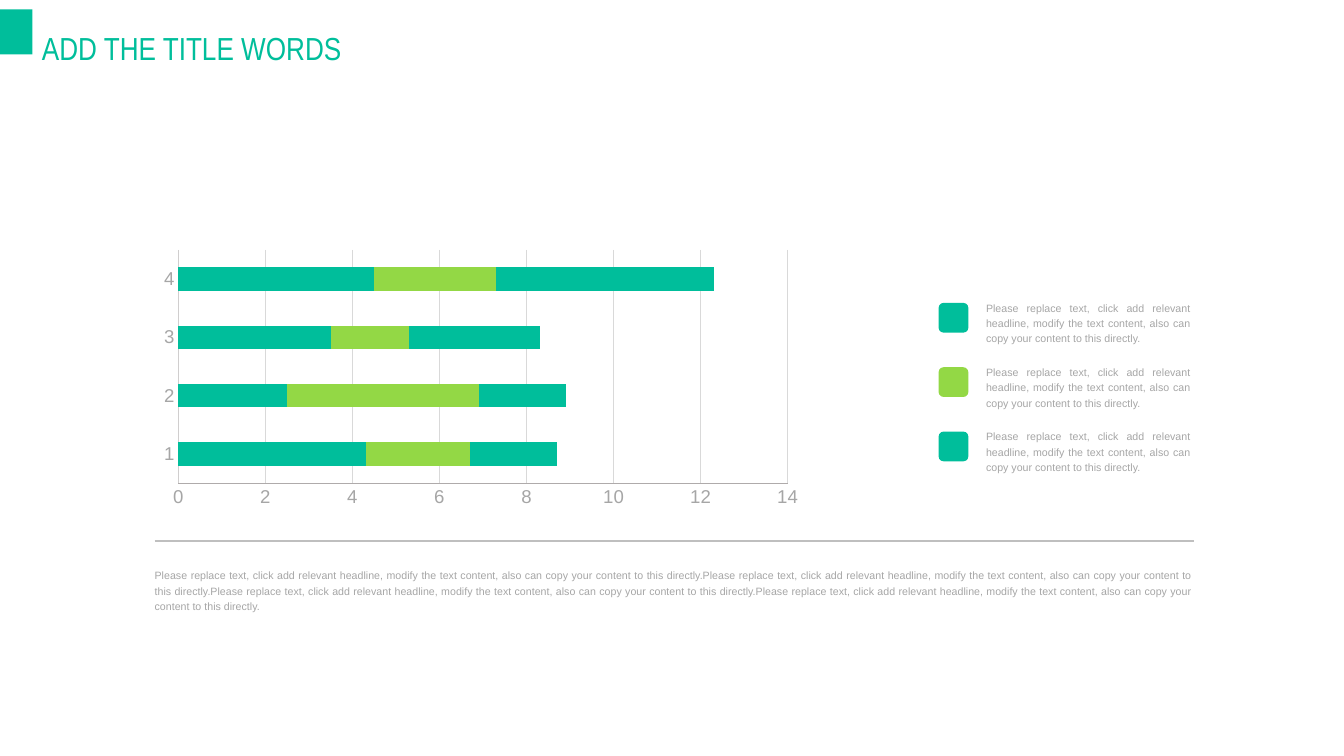
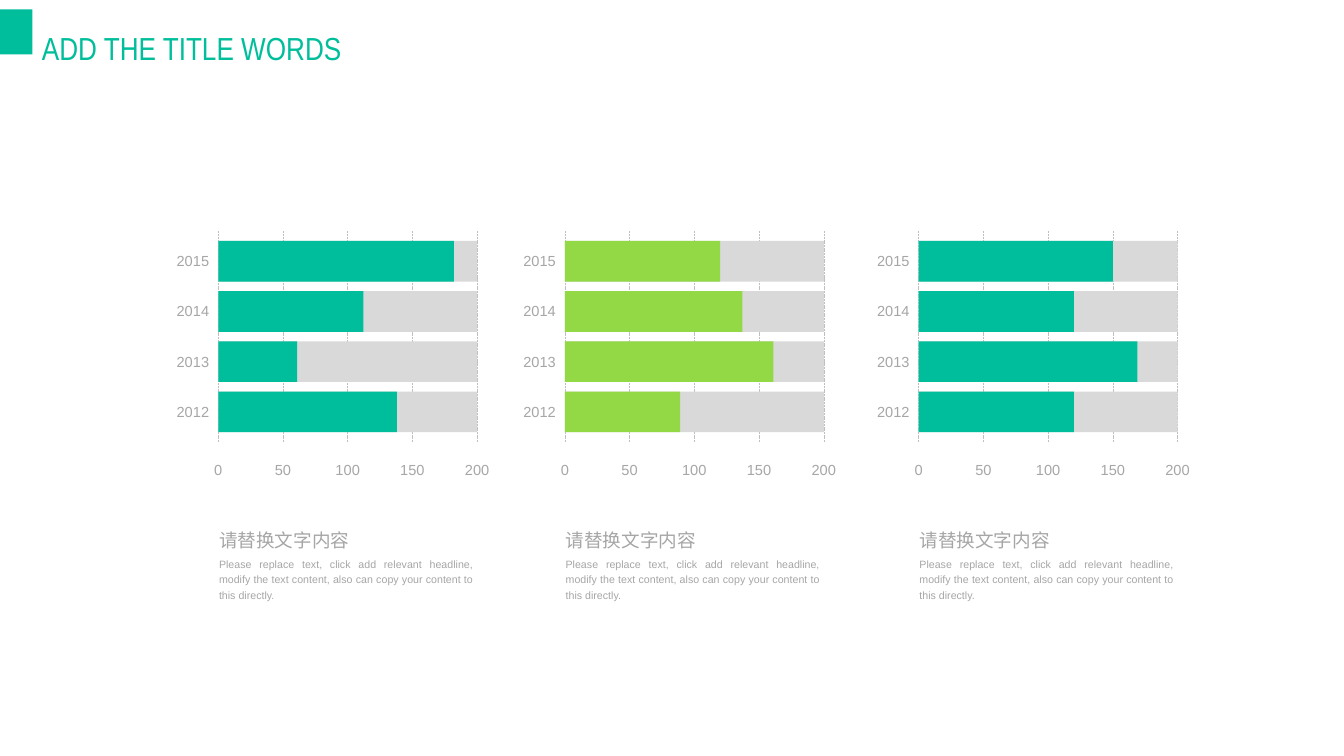
"""Build two slides of bar comparisons that share one title style."""
from dataclasses import dataclass

from lxml import etree
from pptx import Presentation
from pptx.chart.data import CategoryChartData
from pptx.dml.color import RGBColor
from pptx.enum import chart as charts, dml, shapes, text
from pptx.oxml.ns import qn
from pptx.util import Cm, Pt


@dataclass(frozen=True)
class Theme:
    """Colours, fonts and type sizes of the deck."""
    teal: RGBColor = RGBColor.from_string("00BE9B")
    lime: RGBColor = RGBColor.from_string("93D845")
    grey: RGBColor = RGBColor.from_string("A6A6A6")
    rule: RGBColor = RGBColor.from_string("BFBFBF")
    track: RGBColor = RGBColor.from_string("D9D9D9")
    cat_line: RGBColor = RGBColor.from_string("D0CECE")
    val_line: RGBColor = RGBColor.from_string("AFABAB")
    font: str = "Arial"
    title_font: str = "Arial Narrow"
    title: int = 24
    heading: int = 14
    label: int = 11
    body: int = 8


T = Theme()
ALIGN = text.PP_ALIGN
RECT = shapes.MSO_SHAPE.RECTANGLE
TITLE = "ADD THE TITLE WORDS"
BODY = ("Please replace text, click add relevant headline, modify the text "
        "content, also can copy your content to this directly.")
HEADING = "请替换文字内容"
SERIES = [
    ("Series 1", (4.3, 2.5, 3.5, 4.5), T.teal),
    ("Series 2", (2.4, 4.4, 1.8, 2.8), T.lime),
    ("Series 3", (2, 2, 3, 5), T.teal),
]
YEARS = ("2015", "2014", "2013", "2012")
PANELS = [
    (5.8, T.teal, (182, 112, 61, 138)),
    (15.01, T.lime, (120, 137, 161, 89)),
    (24.41, T.teal, (150, 120, 169, 120)),
]


def cms(*values):
    """Turn numbers into centimetre lengths."""
    return [Cm(v) for v in values]


def style_text(tf, words, size, color=T.grey, font=T.font,
               align=ALIGN.LEFT, spacing=1.2):
    """Write one paragraph and format it."""
    tf.text = words
    tf.auto_size = text.MSO_AUTO_SIZE.SHAPE_TO_FIT_TEXT
    tf.vertical_anchor = text.MSO_ANCHOR.TOP
    p = tf.paragraphs[0]
    p.alignment, p.line_spacing, p.space_before = align, spacing, Pt(0)
    r = p.runs[0]
    r.font.size, r.font.name = Pt(size), font
    r.font.color.rgb = color


def add_text(parent, box, words, size, align=ALIGN.LEFT):
    """Add a wrapped text box without margins."""
    tf = parent.add_textbox(*cms(*box)).text_frame
    tf.word_wrap = True
    tf.margin_left = tf.margin_right = tf.margin_top = tf.margin_bottom = 0
    style_text(tf, words, size, align=align)


def add_label(parent, box, words, align):
    """Add an unwrapped axis label."""
    tf = parent.add_textbox(*cms(*box)).text_frame
    tf.word_wrap = False
    style_text(tf, words, T.label, align=align)


def add_block(parent, box, color, kind=RECT):
    """Add a flat filled shape."""
    sp = parent.add_shape(kind, *cms(*box))
    sp.shadow.inherit = False
    sp.fill.solid()
    sp.fill.fore_color.rgb = color
    sp.line.fill.background()
    return sp


def add_line(parent, ends, width, dash=None):
    """Add a flat straight line."""
    ln = parent.add_connector(shapes.MSO_CONNECTOR.STRAIGHT, *cms(*ends))
    ln.line.color.rgb = T.rule
    ln.line.width = Pt(width)
    if dash:
        ln.line.dash_style = dash
    etree.SubElement(ln.element.spPr, qn("a:effectLst"))


def add_titled_slide(prs, layout):
    """Add a slide with the shared title."""
    s = prs.slides.add_slide(layout)
    sp = s.shapes.title
    sp.left, sp.top, sp.width, sp.height = cms(0.86, 0.13, 8.99, 1.6)
    style_text(sp.text_frame, TITLE, T.title, T.teal, T.title_font,
               spacing=1.5)
    return s


def add_band(s):
    """Place the corner band on the layout of a slide."""
    sp = add_block(s.shapes, (0, 0.25, 0.86, 1.2), T.teal)
    s.slide_layout.shapes.element.insert(2, sp.element)


def style_axis(axis, color):
    """Format an axis without tick marks."""
    axis.major_tick_mark = axis.minor_tick_mark = charts.XL_TICK_MARK.NONE
    axis.format.line.color.rgb = color
    axis.format.line.width = Pt(0.75)


def stacked_chart(s, box):
    """Add the stacked bar chart."""
    data = CategoryChartData()
    data.categories = ["1", "2", "3", "4"]
    for name, values, _ in SERIES:
        data.add_series(name, values)
    ch = s.shapes.add_chart(charts.XL_CHART_TYPE.BAR_STACKED, *cms(*box),
                            data).chart
    ch.has_legend = ch.has_title = False
    ch.font.size, ch.font.name = Pt(T.heading), T.font
    ch.font.color.rgb = T.grey
    plot = ch.plots[0]
    plot.gap_width, plot.overlap, plot.vary_by_categories = 150, 100, False
    for series, (_, _, color) in zip(plot.series, SERIES):
        series.format.fill.solid()
        series.format.fill.fore_color.rgb = color
    style_axis(ch.category_axis, T.cat_line)
    axis = ch.value_axis
    style_axis(axis, T.val_line)
    axis.minimum_scale, axis.maximum_scale, axis.major_unit = 0, 14, 2
    axis.has_major_gridlines = True
    axis.major_gridlines.format.line.color.rgb = T.track
    axis.major_gridlines.format.line.width = Pt(0.75)


def legend(s, box):
    """Add colour keys with their descriptions."""
    x, y, w, pitch = box
    for i, (_, _, color) in enumerate(SERIES):
        top = y + i * pitch
        add_block(s.shapes, (x, top + 0.1, 0.79, 0.79), color,
                  shapes.MSO_SHAPE.ROUNDED_RECTANGLE)
        add_text(s.shapes, (x + 1.26, top, w - 1.26, 1.22), BODY, T.body,
                 ALIGN.JUSTIFY)


def summary(s, box):
    """Add a ruled closing paragraph."""
    x, y, w, h = box
    add_line(s.shapes, (x, y, x + w, y), 2)
    add_text(s.shapes, (x, y + 0.68, w, h - 0.68), BODY * 4, T.body,
             ALIGN.JUSTIFY)


def bar_panel(s, box, color, values):
    """Add a group of bars on tracks with a dashed scale."""
    x, y, w, h = box
    g = s.shapes.add_group_shape().shapes
    top_value, bar = 200, 1.08
    gap = (h - bar * len(values)) / (len(values) + 1)
    for tick in range(0, top_value + 1, 50):
        tx = x + w * tick / top_value
        add_line(g, (tx, y, tx, y + h), 0.5, dml.MSO_LINE.SQUARE_DOT)
        label_w = 0.51 + 0.22 * len(str(tick))
        add_label(g, (tx - label_w / 2, y + h + 0.28, label_w, 0.81),
                  str(tick), ALIGN.CENTER)
    for i, (year, value) in enumerate(zip(YEARS, values)):
        top = y + gap + i * (bar + gap)
        add_block(g, (x, top, w, bar), T.track)
        add_block(g, (x, top, w * value / top_value, bar), color)
        add_label(g, (x - 1.39, top + 0.08, 1.4, 0.81), year, ALIGN.RIGHT)


def caption(s, box):
    """Add a heading above a short paragraph."""
    x, y, w, h = box
    add_text(s.shapes, (x, y, 4.62, 0.7), HEADING, T.heading)
    add_text(s.shapes, (x, y + 0.82, w, h - 0.82), BODY, T.body,
             ALIGN.JUSTIFY)


def stacked_slide(prs, layout):
    """Build the slide with the stacked chart."""
    s = add_titled_slide(prs, layout)
    stacked_chart(s, (4.01, 6.5, 17.55, 7.14))
    legend(s, (24.94, 7.95, 6.7, 1.71))
    summary(s, (4.11, 14.38, 27.61, 1.9))
    return s


def panels_slide(prs, layout):
    """Build the slide with three bar panels."""
    s = add_titled_slide(prs, layout)
    for x, color, values in PANELS:
        bar_panel(s, (x, 6.15, 6.88, 5.59), color, values)
        caption(s, (x + 0.02, 13.94, 6.76, 2.02))


def main():
    """Build and save the deck."""
    prs = Presentation()
    prs.slide_width, prs.slide_height = cms(35.71, 20.09)
    layout = prs.slide_layouts.get_by_name("Title Only")
    add_band(stacked_slide(prs, layout))
    panels_slide(prs, layout)
    prs.save("out.pptx")


if __name__ == "__main__":
    main()
